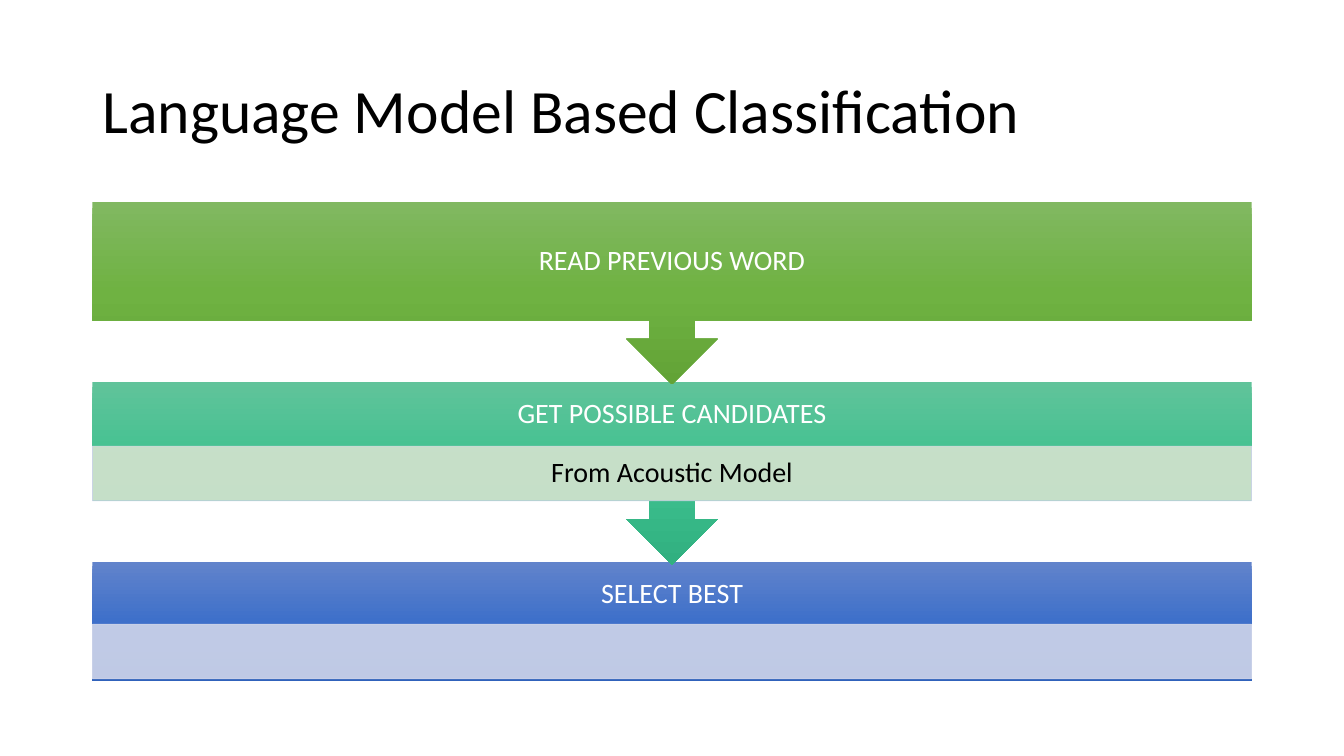
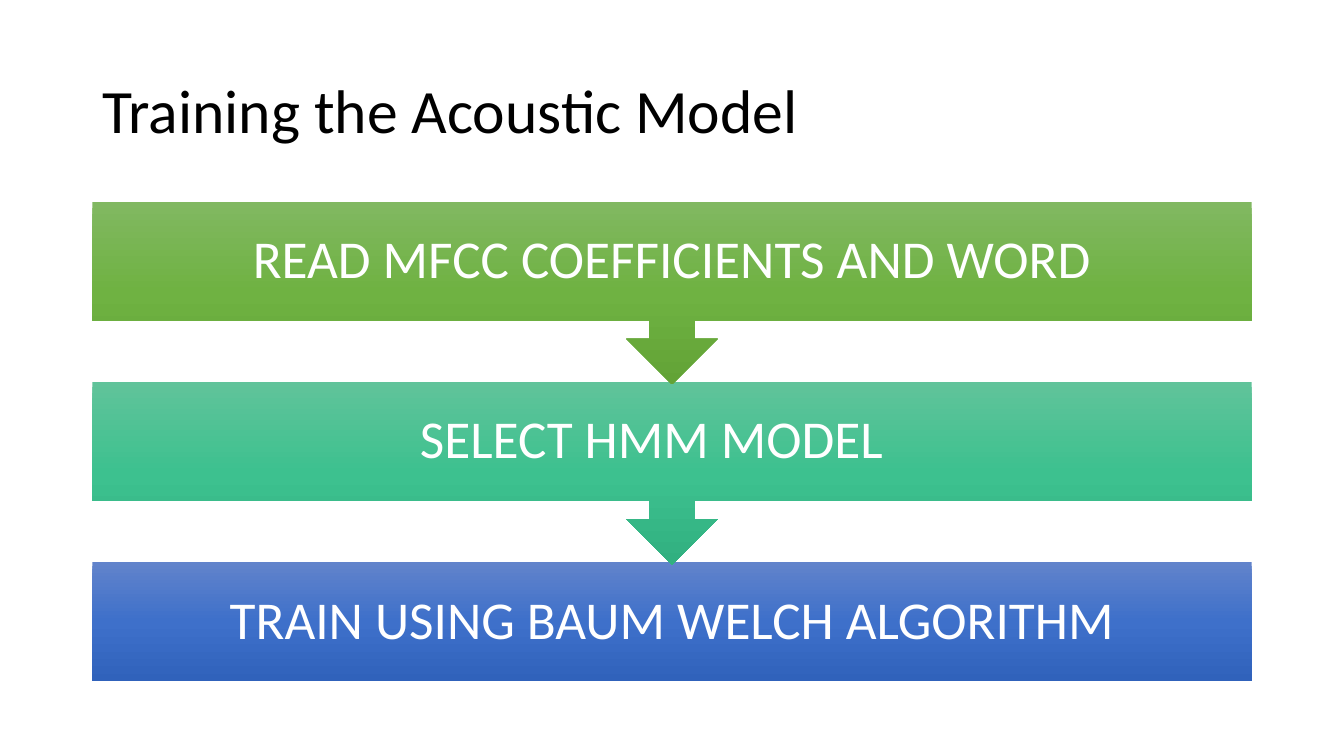
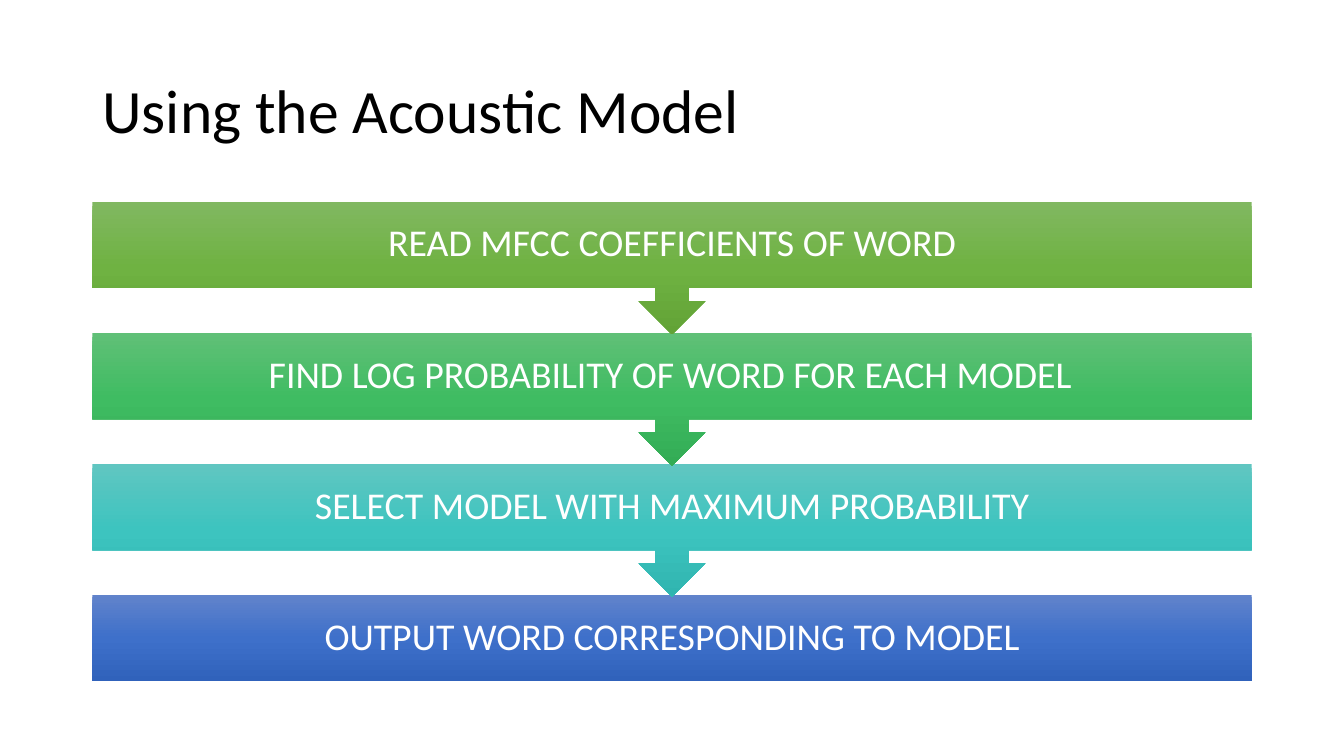
from copy import deepcopy

from lxml import etree
from pptx import Presentation
from pptx.dml.color import RGBColor
from pptx.enum.shapes import MSO_SHAPE
from pptx.enum.text import MSO_ANCHOR, PP_ALIGN
from pptx.oxml.ns import qn
from pptx.util import Inches, Pt

RECTANGLE = MSO_SHAPE.RECTANGLE
CALLOUT = MSO_SHAPE.UP_ARROW_CALLOUT
MIDDLE = MSO_ANCHOR.MIDDLE
LEFT_ALIGN = PP_ALIGN.LEFT
CENTER = PP_ALIGN.CENTER

BLACK = RGBColor(0x00, 0x00, 0x00)
WHITE = RGBColor(0xFF, 0xFF, 0xFF)
DETAIL_LINE = RGBColor(0xCF, 0xD5, 0xEA)
PALE_BLUE = RGBColor(0xCF, 0xD5, 0xEA)
PALE_GREEN = RGBColor(0xD5, 0xE3, 0xCF)
LIME = (RGBColor(0x81, 0xB8, 0x61), RGBColor(0x6F, 0xB2, 0x42), RGBColor(0x62, 0xA3, 0x36))
GREEN = (RGBColor(0x60, 0xC0, 0x77), RGBColor(0x3F, 0xBC, 0x62), RGBColor(0x33, 0xAC, 0x55))
MINT = (RGBColor(0x60, 0xC3, 0x9A), RGBColor(0x3D, 0xC1, 0x8F), RGBColor(0x31, 0xB0, 0x80))
TEAL = (RGBColor(0x60, 0xC6, 0xC1), RGBColor(0x3D, 0xC4, 0xBF), RGBColor(0x30, 0xB5, 0xB0))
BLUE = (RGBColor(0x61, 0x83, 0xCB), RGBColor(0x3E, 0x70, 0xCA), RGBColor(0x30, 0x62, 0xBB))

FONT = "Calibri"
COLUMNS, ROWS = 160, 90
LEFT, WIDTH = 11, 138
TITLE_TOP, TITLE_HEIGHT = 4.8, 17.4
FLOW_TOP, FLOW_HEIGHT = 24, 57.1
PITCH, CALLOUT_HEIGHT = 1.52, 1.54
HEADING_SHARE, DETAIL_SHARE, LAST_DETAIL_TOP = 0.54, 0.46, 0.52


class FlowDeck:
    def __init__(self):
        self.deck = Presentation()
        self.deck.slide_width = Inches(13.33)
        self.deck.slide_height = Inches(7.5)
        self.page = None

    def area(self, top, height):
        column = self.deck.slide_width / COLUMNS
        row = self.deck.slide_height / ROWS
        return [round(length) for length in (LEFT * column, top * row, WIDTH * column, height * row)]

    def add_page(self, title):
        self.page = self.deck.slides.add_slide(self.deck.slide_layouts[6])
        self.text(title, TITLE_TOP, TITLE_HEIGHT, 44, BLACK, LEFT_ALIGN, (7.2, 3.6))

    def set_text(self, box, words, size, color, align, insets):
        frame = box.text_frame
        frame.word_wrap = True
        frame.vertical_anchor = MIDDLE
        frame.margin_left = frame.margin_right = Pt(insets[0])
        frame.margin_top = frame.margin_bottom = Pt(insets[1])
        para = frame.paragraphs[0]
        para.text = words
        para.alignment = align
        para.line_spacing = 0.9
        para.font.name = FONT
        para.font.size = Pt(size)
        para.font.color.rgb = color

    def text(self, words, top, height, size, color, align, insets):
        box = self.page.shapes.add_textbox(*self.area(top, height))
        self.set_text(box, words, size, color, align, insets)

    def shape(self, preset, top, height):
        shape = self.page.shapes.add_shape(preset, *self.area(top, height))
        shape.shadow.inherit = False
        return shape

    def band(self, preset, top, height, colors):
        band = self.shape(preset, top, height)
        band.line.fill.background()
        band.fill.gradient()
        band.fill.gradient_angle = 270
        gradient = band.element.spPr.find(qn("a:gradFill"))
        gradient.set("rotWithShape", "0")
        stops = gradient.find(qn("a:gsLst"))
        stops.insert(1, deepcopy(stops[0]))
        for stop, color, position in zip(band.fill.gradient_stops, colors, (0, 0.5, 1)):
            stop.color.rgb = color
            stop.position = position
        return band

    def detail(self, words, top, height, color, size):
        strip = self.shape(RECTANGLE, top, height)
        strip.fill.solid()
        strip.fill.fore_color.rgb = color
        strip.line.color.rgb = DETAIL_LINE
        strip.line.width = Pt(0.5)
        for paint in strip.element.spPr.iter(qn("a:srgbClr")):
            etree.SubElement(paint, qn("a:alpha")).set("val", "90000")
        if words:
            self.set_text(strip, words, size, BLACK, CENTER, (size * 0.56, 2))

    def flow(self, steps, size):
        last = len(steps) - 1
        height = FLOW_HEIGHT / (PITCH * last + 1)
        for index in range(last, -1, -1):
            heading, colors, detail = steps[index]
            top = FLOW_TOP + index * PITCH * height
            if index == last:
                self.band(RECTANGLE, top, height, colors)
            else:
                self.band(CALLOUT, top, height * CALLOUT_HEIGHT, colors).rotation = 180
            heading_height = height * HEADING_SHARE if detail else height
            self.text(heading, top, heading_height, size, WHITE, CENTER, (size * 0.56, size * 0.56))
            if detail:
                words, color = detail
                offset = LAST_DETAIL_TOP if index == last else HEADING_SHARE
                self.detail(words, top + height * offset, height * DETAIL_SHARE, color, size)


slides = FlowDeck()

slides.add_page("Language Model Based Classification")
slides.flow([
    ("READ PREVIOUS WORD", LIME, None),
    ("GET POSSIBLE CANDIDATES", MINT, ("From Acoustic Model", PALE_GREEN)),
    ("SELECT BEST", BLUE, ("", PALE_BLUE)),
], 20)

slides.add_page("Training the Acoustic Model")
slides.flow([
    ("READ MFCC COEFFICIENTS AND WORD", LIME, None),
    ("SELECT HMM MODEL\t", MINT, None),
    ("TRAIN USING BAUM WELCH ALGORITHM", BLUE, None),
], 38)

slides.add_page("Using the Acoustic Model")
slides.flow([
    ("READ MFCC COEFFICIENTS OF WORD", LIME, None),
    ("FIND LOG PROBABILITY OF WORD FOR EACH MODEL\t", GREEN, None),
    ("SELECT MODEL WITH MAXIMUM PROBABILITY", TEAL, None),
    ("OUTPUT WORD CORRESPONDING TO MODEL", BLUE, None),
], 27)

slides.deck.save("out.pptx")
